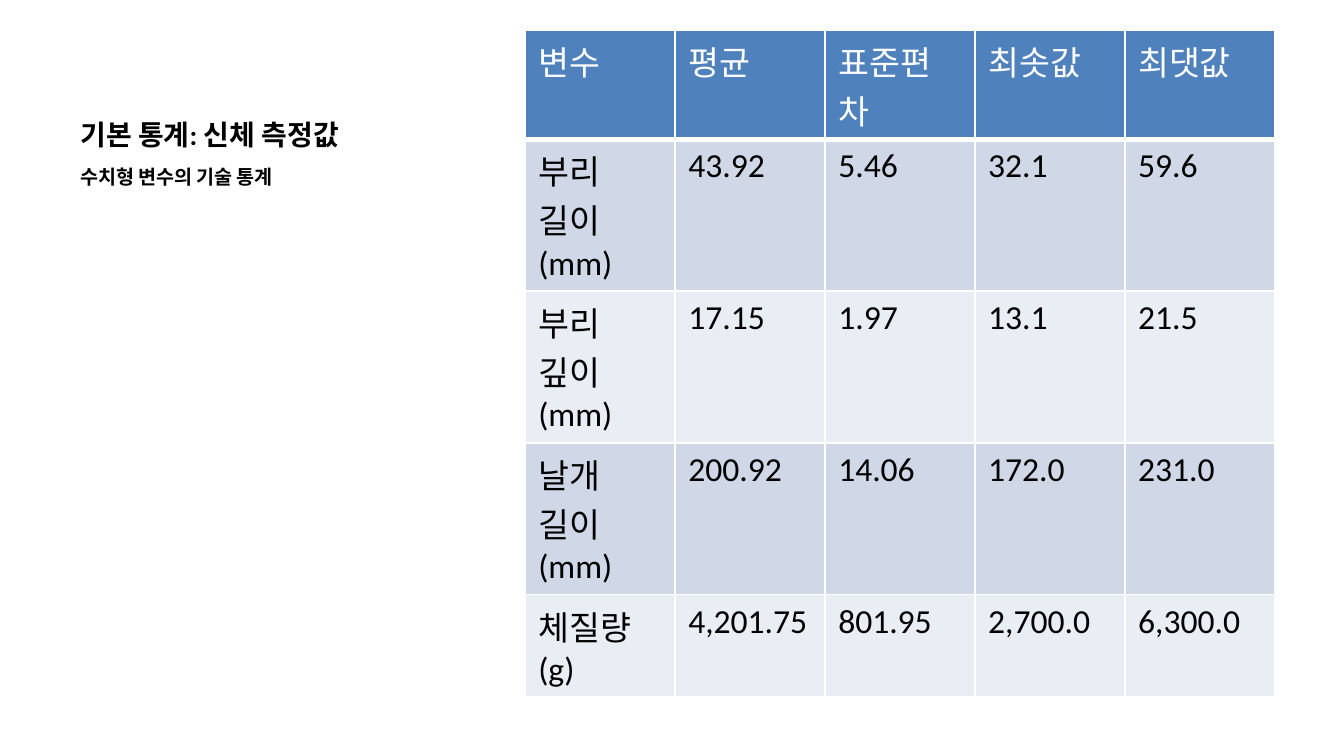
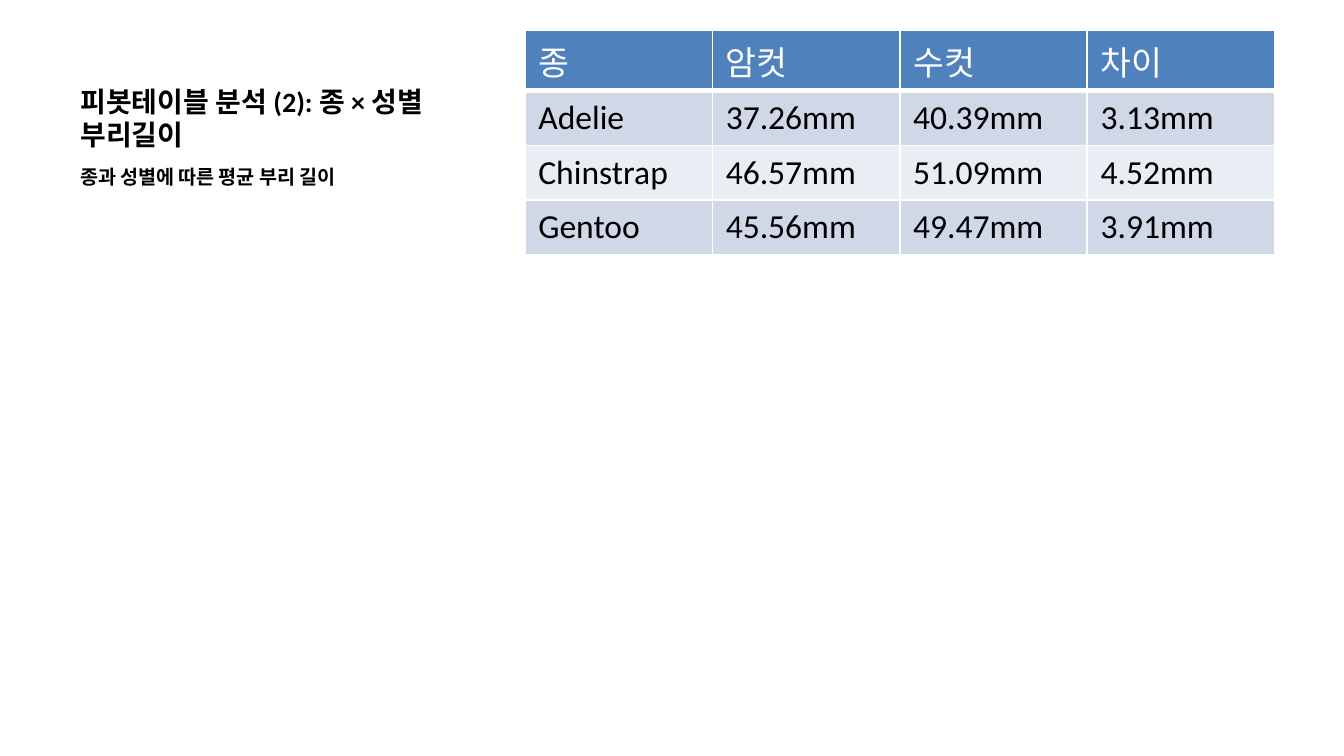
"""Build two slides of penguin statistics, each a heading beside a table."""
from lxml import etree
from pptx import Presentation
from pptx.dml.color import RGBColor
from pptx.enum.text import MSO_ANCHOR
from pptx.oxml.ns import qn
from pptx.util import Cm, Pt

BOTTOM, TOP = MSO_ANCHOR.BOTTOM, MSO_ANCHOR.TOP
FONT = "Calibri"
BLACK, WHITE, HEADER_BLUE = "000000", "FFFFFF", "4F81BD"
BANDS = ["D0D8E8", "E9EDF4"]
TITLE = {"size": Pt(15), "bold": True, "name": FONT}
SUBTITLE = {"size": Pt(10.5), "bold": True, "name": FONT}
CELL = {"size": Pt(18), "bold": False, "name": FONT}

SLIDES = [
    {
        "title": "기본 통계: 신체 측정값",
        "subtitle": "수치형 변수의 기술 통계",
        "heights": [2.06, 2.87, 2.87, 2.87, 1.93],
        "rows": [
            ["변수", "평균", "표준편차", "최솟값", "최댓값"],
            ["부리 길이(mm)", "43.92", "5.46", "32.1", "59.6"],
            ["부리 깊이(mm)", "17.15", "1.97", "13.1", "21.5"],
            ["날개 길이(mm)", "200.92", "14.06", "172.0", "231.0"],
            ["체질량(g)", "4,201.75", "801.95", "2,700.0", "6,300.0"],
        ],
    },
    {
        "title": "피봇테이블 분석 (2): 종 × 성별 부리길이",
        "subtitle": "종과 성별에 따른 평균 부리 길이",
        "heights": [1.15, 1.03, 1.03, 1.03],
        "rows": [
            ["종", "암컷", "수컷", "차이"],
            ["Adelie", "37.26mm", "40.39mm", "3.13mm"],
            ["Chinstrap", "46.57mm", "51.09mm", "4.52mm"],
            ["Gentoo", "45.56mm", "49.47mm", "3.91mm"],
        ],
    },
]


def rgb(value):
    return RGBColor.from_string(value)


def write(frame, text, style, color):
    paragraph = frame.paragraphs[0]
    paragraph.space_before = Pt(0)
    run = paragraph.add_run()
    run.text = text
    for attribute, value in style.items():
        setattr(run.font, attribute, value)
    run.font.color.rgb = rgb(color)


prs = Presentation()
prs.slide_width, prs.slide_height = Cm(25.4), Cm(14.29)

for content in SLIDES:
    slide = prs.slides.add_slide(prs.slide_layouts[6])

    for key, top, height, anchor, style in [
        ("title", 0.57, 2.42, BOTTOM, TITLE),
        ("subtitle", 2.99, 9.77, TOP, SUBTITLE),
    ]:
        frame = slide.shapes.add_textbox(Cm(1.27), Cm(top), Cm(8.36), Cm(height)).text_frame
        frame.word_wrap = True
        frame.vertical_anchor = anchor
        write(frame, content[key], style, BLACK)

    rows, heights = content["rows"], content["heights"]
    table = slide.shapes.add_table(
        len(rows), len(rows[0]), Cm(9.92), Cm(0.57), Cm(14.17), Cm(sum(heights))
    ).table
    for r, values in enumerate(rows):
        table.rows[r].height = Cm(heights[r])
        is_header = r == 0
        for c, value in enumerate(values):
            cell = table.cell(r, c)
            write(cell.text_frame, value, CELL, WHITE if is_header else BLACK)
            properties = cell._tc.get_or_add_tcPr()
            for side in ("a:lnL", "a:lnR", "a:lnT", "a:lnB"):
                width = Pt(3) if is_header and side == "a:lnB" else Pt(1)
                border = etree.SubElement(properties, qn(side), w=str(width))
                paint = etree.SubElement(border, qn("a:solidFill"))
                etree.SubElement(paint, qn("a:srgbClr"), val=WHITE)
            cell.fill.solid()
            cell.fill.fore_color.rgb = rgb(HEADER_BLUE if is_header else BANDS[(r - 1) % 2])

prs.save("out.pptx")
